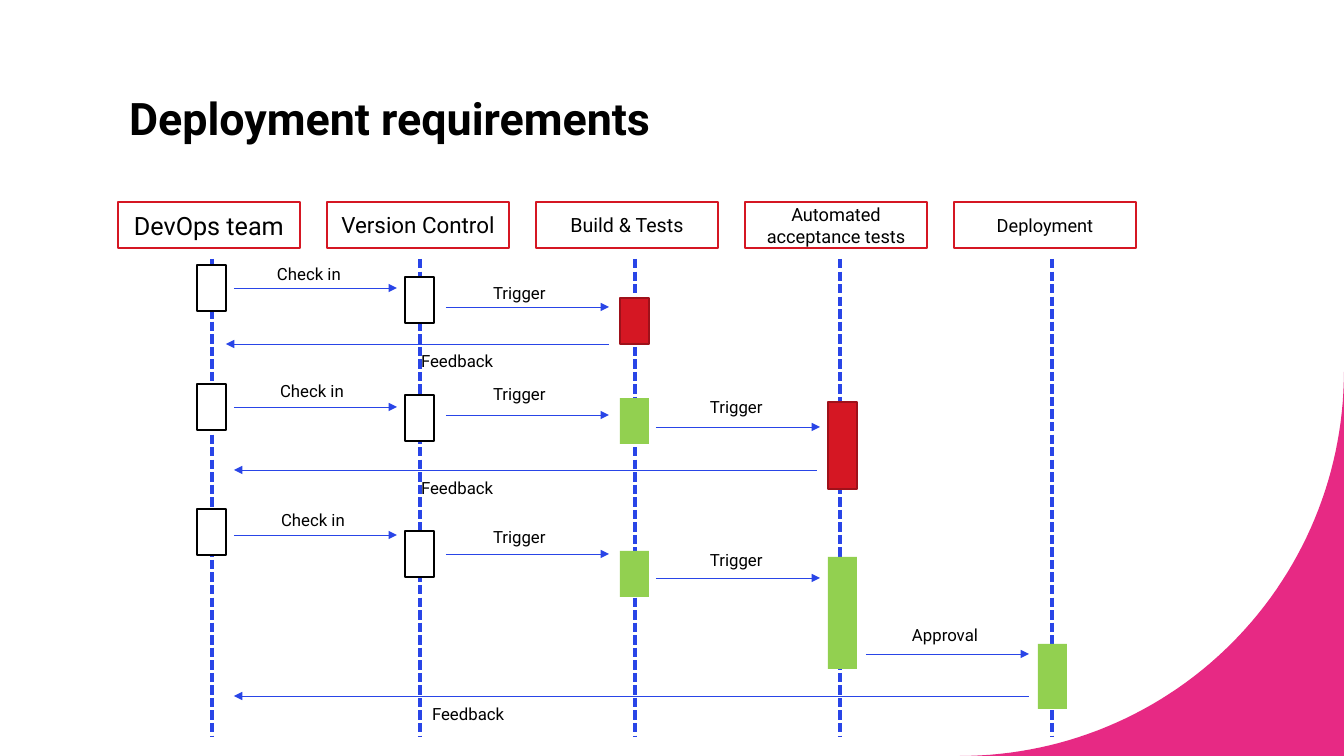
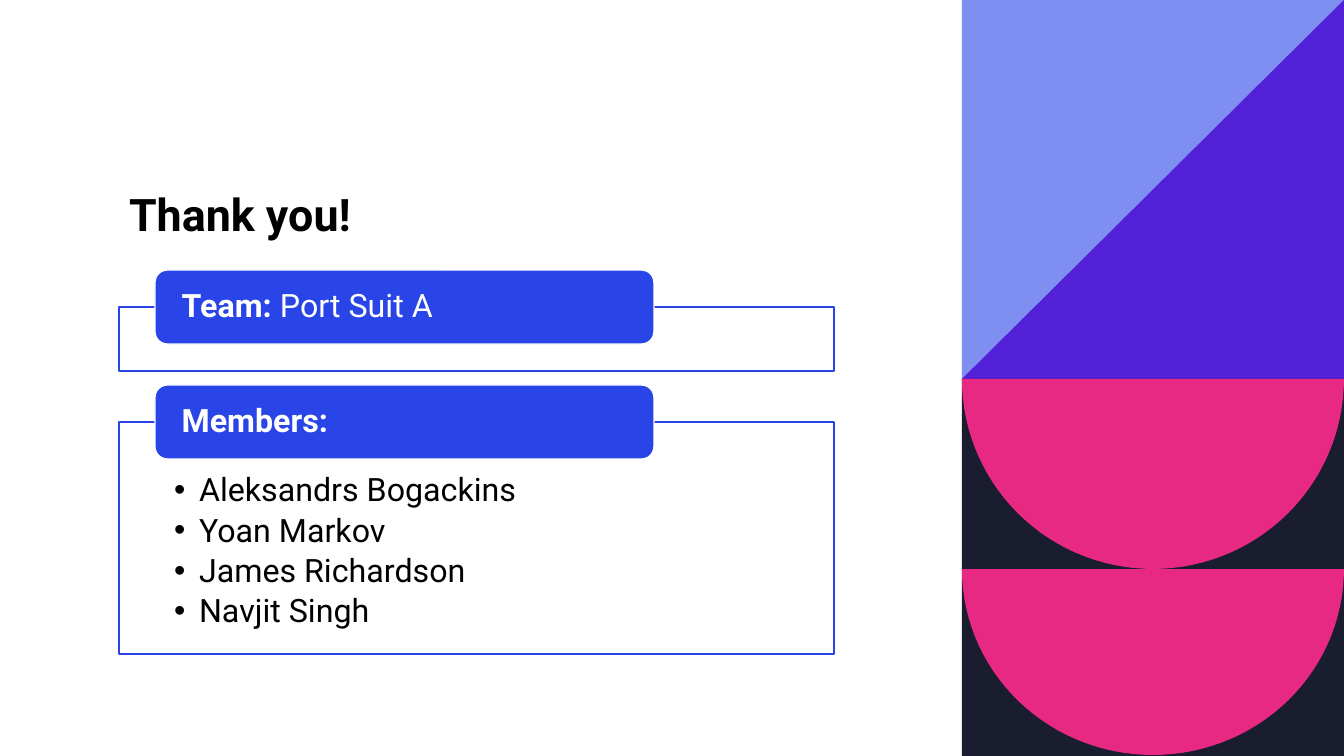
from math import cos, pi, sin

from lxml.etree import SubElement
from pptx import Presentation
from pptx.dml.color import RGBColor
from pptx.enum.dml import MSO_LINE
from pptx.enum.shapes import MSO_CONNECTOR, MSO_SHAPE
from pptx.enum.text import MSO_ANCHOR, MSO_AUTO_SIZE, PP_ALIGN
from pptx.oxml.ns import qn
from pptx.util import Pt

SCALE = 914400 / 100.8
W, H = 1344, 756

BLACK, WHITE = "000000", "FFFFFF"
BLUE, PINK, RED, GREEN = "2945E7", "E72984", "D51723", "92D050"
DARK_RED, PERIWINKLE, PURPLE, NAVY = "9E111A", "7F8FF1", "5120D7", "1A1D2F"


def px(n):
    return round(n * SCALE)


def rgb(value):
    return RGBColor.from_string(value)


def arc(cx, cy, rx, ry, end):
    """Points on an ellipse, clockwise from its right end."""
    steps = 60
    angles = [end * i / steps for i in range(steps + 1)]
    return [(cx + rx * cos(a), cy + ry * sin(a)) for a in angles]


class Deck:
    font = "Roboto"

    def __init__(self):
        self.prs = Presentation()
        self.prs.slide_width, self.prs.slide_height = px(W), px(H)
        self.slide = None

    def add_slide(self, layout, title, box, anchor):
        self.slide = self.prs.slides.add_slide(self.prs.slide_layouts[layout])
        sp = self.slide.shapes.title
        self.place(sp, box)
        sp.text_frame.text = title
        self.frame(sp.text_frame, anchor)
        p = sp.text_frame.paragraphs[0]
        self.style(p, 32, bold=True, spacing=1.1)

    def place(self, sp, box):
        sp.left, sp.top, sp.width, sp.height = map(px, box)

    def frame(self, tf, anchor, insets=(10, 5, 10, 5)):
        tf.word_wrap = True
        tf.auto_size = MSO_AUTO_SIZE.NONE
        tf.vertical_anchor = anchor
        (tf.margin_left, tf.margin_top,
         tf.margin_right, tf.margin_bottom) = map(px, insets)

    def style(self, p, size, color=BLACK, bold=False, align=PP_ALIGN.LEFT,
              spacing=1.0, after=0):
        p.alignment, p.line_spacing = align, spacing
        p.space_before, p.space_after = Pt(0), Pt(after)
        p.font.name, p.font.size, p.font.bold = self.font, Pt(size), bold
        p.font.color.rgb = rgb(color)

    def paint(self, sp, fill, line=None):
        sp.fill.solid()
        sp.fill.fore_color.rgb = rgb(fill)
        if line:
            sp.line.color.rgb = rgb(line)
            sp.line.width = Pt(1)
        else:
            sp.line.fill.background()

    def box(self, box, fill, line=None, shape=MSO_SHAPE.RECTANGLE):
        sp = self.slide.shapes.add_shape(shape, *map(px, box))
        sp.shadow.inherit = False
        self.paint(sp, fill, line)
        return sp

    def outline(self, points, fill):
        start, *rest = [(px(x), px(y)) for x, y in points]
        builder = self.slide.shapes.build_freeform(*start, scale=1.0)
        builder.add_line_segments(rest, close=True)
        sp = builder.convert_to_shape()
        sp.shadow.inherit = False
        self.paint(sp, fill)

    def line(self, start, end, width, dash=None, arrow=False):
        c = self.slide.shapes.add_connector(
            MSO_CONNECTOR.STRAIGHT, *map(px, start + end))
        c.line.color.rgb = rgb(BLUE)
        c.line.width = Pt(width)
        if dash:
            c.line.dash_style = dash
        props = c.element.spPr
        if arrow:
            SubElement(props.find(qn("a:ln")), qn("a:tailEnd"), type="triangle")
        SubElement(props, qn("a:effectLst"))

    def label(self, text, x, y):
        tf = self.slide.shapes.add_textbox(*map(px, (x, y, 108, 30))).text_frame
        tf.text = text
        self.frame(tf, MSO_ANCHOR.TOP)
        self.style(tf.paragraphs[0], 12)

    def header(self, box, text, size):
        sp = self.box(box, WHITE, RED)
        tf = sp.text_frame
        tf.text = text
        self.frame(tf, MSO_ANCHOR.MIDDLE)
        self.style(tf.paragraphs[0], size, align=PP_ALIGN.CENTER)

    def tab(self, y, heading, detail=""):
        sp = self.box((155, y, 499, 74), BLUE, WHITE,
                      MSO_SHAPE.ROUNDED_RECTANGLE)
        tf = sp.text_frame
        self.frame(tf, MSO_ANCHOR.MIDDLE, (23, 0, 23, 0))
        p = tf.paragraphs[0]
        self.style(p, 23, WHITE, spacing=0.9)
        r = p.add_run()
        r.text, r.font.bold = heading, True
        if detail:
            p.add_run().text = detail

    def bullets(self, box, items, insets):
        sp = self.slide.placeholders[1]
        self.place(sp, box)
        self.paint(sp, WHITE, BLUE)
        tf = sp.text_frame
        tf.text = "\n".join(items)
        self.frame(tf, MSO_ANCHOR.TOP, insets)
        for p in tf.paragraphs:
            self.style(p, 23, spacing=0.9, after=4)
            props = p._p.get_or_add_pPr()
            props.set("marL", str(px(25)))
            props.set("indent", str(-px(25)))


deck = Deck()

# Slide 1: sequence diagram
deck.add_slide(5, "Deployment requirements", (119, 80, 1097, 85),
               MSO_ANCHOR.TOP)
deck.outline(arc(960, 372, 384, 384, pi / 2) + [(W, H)], PINK)

# Participants and their lifelines
participants = [
    ("DevOps team", 18, 212), ("Version Control", 16, 420),
    ("Build & Tests", 14, 635), ("Automated acceptance tests", 13, 840),
    ("Deployment", 13, 1052),
]
for i, (name, size, x) in enumerate(participants):
    deck.header((118 + 209 * i, 202, 182, 46), name, size)
    deck.line((x, 259), (x, 737), 2.25, dash=MSO_LINE.SQUARE_DOT)

# Activation bars: participant, top, height, state
TEAM, VERSION, BUILD, ACCEPT, DEPLOY = range(5)
bar_lefts = [197, 405, 620, 828, 1038]
IDLE, FAILED, PASSED = (WHITE, BLACK), (RED, DARK_RED), (GREEN, None)
bars = [
    (TEAM, 265, 46, IDLE), (VERSION, 277, 46, IDLE), (BUILD, 298, 46, FAILED),
    (TEAM, 384, 46, IDLE), (VERSION, 395, 46, IDLE), (BUILD, 398, 46, PASSED),
    (ACCEPT, 402, 87, FAILED),
    (TEAM, 509, 46, IDLE), (VERSION, 531, 46, IDLE), (BUILD, 551, 46, PASSED),
    (ACCEPT, 557, 112, PASSED), (DEPLOY, 644, 65, PASSED),
]
for who, y, height, (fill, line) in bars:
    deck.box((bar_lefts[who], y, 29, height), fill, line)

# Messages: text, arrow span, arrow y, label position
TO_VERSION, TO_BUILD = (234, 397), (446, 609)
TO_ACCEPT, TO_DEPLOY = (656, 820), (866, 1029)
messages = [
    ("Check in", TO_VERSION, 288, 267, 259),
    ("Trigger", TO_BUILD, 307, 483, 278),
    ("Feedback", (609, 226), 344, 411, 346),
    ("Check in", TO_VERSION, 407, 270, 376),
    ("Trigger", TO_BUILD, 415, 483, 379),
    ("Trigger", TO_ACCEPT, 427, 700, 392),
    ("Feedback", (817, 234), 470, 411, 473),
    ("Check in", TO_VERSION, 535, 271, 505),
    ("Trigger", TO_BUILD, 554, 483, 522),
    ("Trigger", TO_ACCEPT, 578, 700, 545),
    ("Approval", TO_DEPLOY, 654, 902, 620),
    ("Feedback", (1029, 234), 696, 422, 699),
]
for text, (x1, x2), y, label_x, label_y in messages:
    deck.line((x1, y), (x2, y), 0.5, arrow=True)
    deck.label(text, label_x, label_y)

# Slide 2: team and members
deck.add_slide(1, "Thank you!", (119, 80, 715, 166), MSO_ANCHOR.BOTTOM)
deck.box((119, 307, 715, 64), WHITE, BLUE)
deck.tab(270, "Team: ", "Port Suit A")
deck.bullets((119, 422, 715, 232),
             ["Aleksandrs Bogackins", "Yoan Markov", "James Richardson",
              "Navjit Singh"], (55, 52, 55, 18))
deck.tab(385, "Members:")

# Geometric side panel
left, middle = 962, 379
deck.box((left, 0, W - left, middle), PERIWINKLE)
deck.outline([(W, 0), (W, middle), (left, middle)], PURPLE)
deck.box((left, middle, W - left, H - middle), NAVY)
for top, depth in ((middle, 190), (569, 186)):
    deck.outline(arc(1153, top, 191, depth, pi), PINK)

deck.prs.save("out.pptx")
